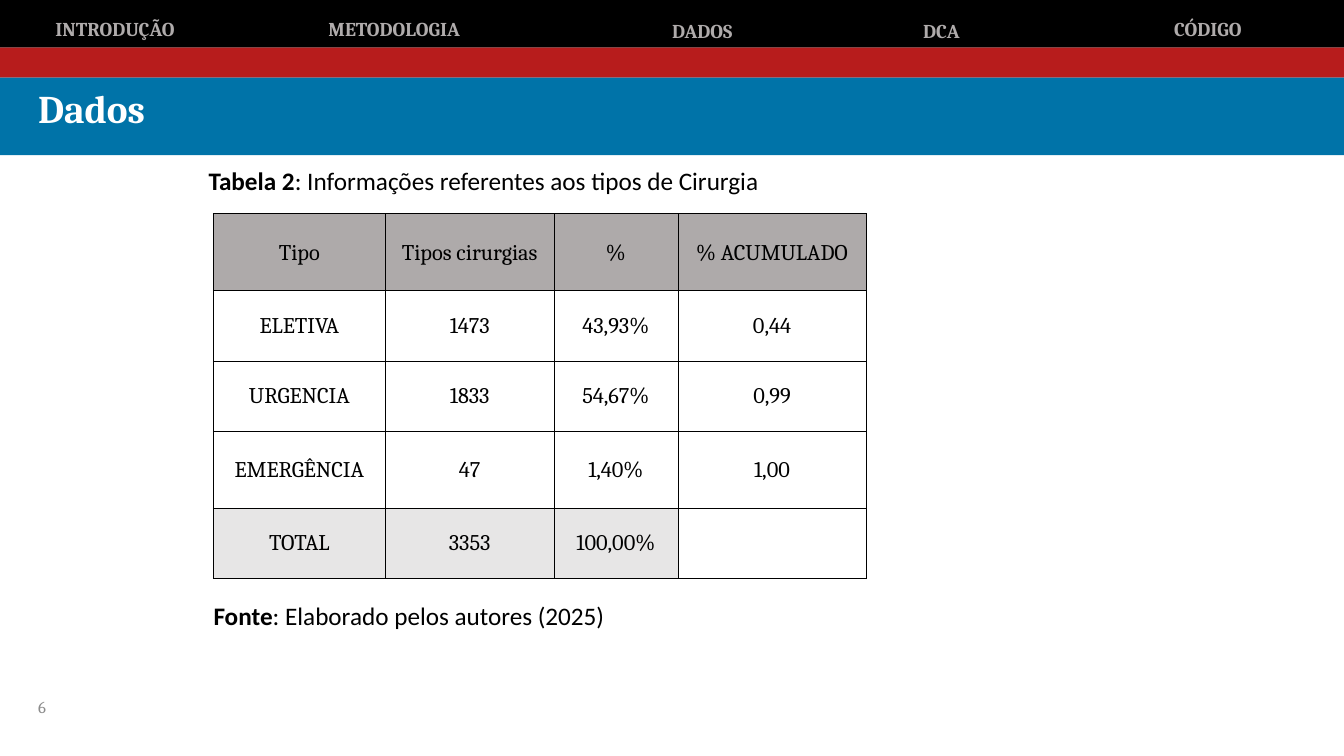
from lxml.etree import SubElement
from pptx import Presentation
from pptx.dml.color import RGBColor
from pptx.enum.shapes import MSO_SHAPE
from pptx.enum.text import MSO_ANCHOR, PP_ALIGN
from pptx.oxml.ns import qn
from pptx.util import Inches, Pt

COLUMNS, ROWS = 133.33, 75


def color(value):
    return RGBColor.from_string(value)


class SlideBuilder:
    """Draws styled elements on a slide grid of tenth-inch columns and rows."""

    heading_font, caption_font = "Cambria", "Calibri"
    black, white, gray, pale = "000000", "FFFFFF", "AEAAAA", "E7E6E6"

    def __init__(self, deck):
        self.cell = Inches(0.1)
        deck.slide_width, deck.slide_height = self.grid(COLUMNS, ROWS)
        self.slide = deck.slides.add_slide(deck.slide_layouts[6])

    def grid(self, *lengths):
        return [round(length * self.cell) for length in lengths]

    def band(self, top, height, fill):
        band = self.slide.shapes.add_shape(
            MSO_SHAPE.RECTANGLE, *self.grid(0, top, COLUMNS, height))
        band.shadow.inherit = False
        band.fill.solid()
        band.fill.fore_color.rgb = color(fill)
        band.line.fill.background()

    def run(self, paragraph, words, size, font, ink, bold=False):
        run = paragraph.add_run()
        run.text = words
        run.font.size, run.font.name, run.font.bold = Pt(size), font, bold
        run.font.color.rgb = color(ink)

    def text(self, place, runs, size, font, ink,
             anchor=MSO_ANCHOR.TOP, line_spacing=1.0):
        frame = self.slide.shapes.add_textbox(*self.grid(*place)).text_frame
        frame.word_wrap = True
        frame.vertical_anchor = anchor
        paragraph = frame.paragraphs[0]
        paragraph.line_spacing = line_spacing
        for words, bold in runs:
            self.run(paragraph, words, size, font, ink, bold)

    def caption(self, place, label, rest):
        self.text(place, [(label, True), (rest, False)],
                  18, self.caption_font, self.black)

    def borders(self, cell):
        properties = cell._tc.get_or_add_tcPr()
        for side in ("a:lnL", "a:lnR", "a:lnT", "a:lnB"):
            line = SubElement(properties, qn(side), w=str(Pt(0.5)))
            fill = SubElement(line, qn("a:solidFill"))
            SubElement(fill, qn("a:srgbClr"), val=self.black)

    def table(self, left, top, widths, heights, records, fills):
        table = self.slide.shapes.add_table(
            len(heights), len(widths),
            *self.grid(left, top, sum(widths), sum(heights))).table
        table.first_row = table.horz_banding = False
        for column, width in zip(table.columns, self.grid(*widths)):
            column.width = width
        for row, height, record, fill in zip(
                table.rows, self.grid(*heights), records, fills):
            row.height = height
            for cell, words in zip(row.cells, record):
                self.table_cell(cell, words, fill if words else None)

    def table_cell(self, cell, words, fill):
        cell.margin_left = cell.margin_right = cell.margin_top = Inches(0.01)
        cell.margin_bottom = 0
        cell.vertical_anchor = MSO_ANCHOR.MIDDLE
        self.borders(cell)
        if fill:
            cell.fill.solid()
            cell.fill.fore_color.rgb = color(fill)
        else:
            cell.fill.background()
        if words:
            paragraph = cell.text_frame.paragraphs[0]
            paragraph.alignment = PP_ALIGN.CENTER
            self.run(paragraph, words, 16, self.heading_font, self.black)


def main():
    deck = Presentation()
    page = SlideBuilder(deck)

    for top, height, fill in (
            (4.7, 3, "B71C1C"), (7.7, 7.7, "0073A8"), (0, 4.7, page.black)):
        page.band(top, height, fill)

    for section, left, top, width in (
            ("INTRODUÇÃO", 4.5, 1.2, 17.1), ("METODOLOGIA", 31.6, 1.2, 23.9),
            ("DADOS", 65.7, 1.35, 11.3), ("DCA", 90.6, 1.4, 11.3),
            ("CÓDIGO", 115.5, 1.2, 15.2)):
        page.text((left, top, width, 3.4), [(section, True)],
                  14, page.heading_font, "AFABAB")

    page.text((2.8, 8.4, 90.8, 6.3), [("Dados", True)],
              28, page.heading_font, page.white, line_spacing=0.9)
    page.text((2.8, 68.1, 30, 4), [("6", False)],
              12, page.heading_font, "8C8C8C", MSO_ANCHOR.MIDDLE)

    surgeries = (
        ("Tipo", "Tipos cirurgias", "%", "% ACUMULADO"),
        ("ELETIVA", "1473", "43,93%", "0,44"),
        ("URGENCIA", "1833", "54,67%", "0,99"),
        ("EMERGÊNCIA", "47", "1,40%", "1,00"),
        ("TOTAL", "3353", "100,00%", ""),
    )
    page.table(21.15, 21.2, (17.1, 16.7, 12.3, 18.7),
               (7.65, 6.95, 6.95, 7.65, 6.95), surgeries,
               (page.gray, None, None, None, page.pale))

    page.caption((19.7, 15.9, 57.1, 4), "Tabela 2",
                 ": Informações referentes aos tipos de Cirurgia")
    page.caption((20.2, 59.1, 66.7, 4), "Fonte",
                 ": Elaborado pelos autores (2025)")

    deck.save("out.pptx")


if __name__ == "__main__":
    main()
